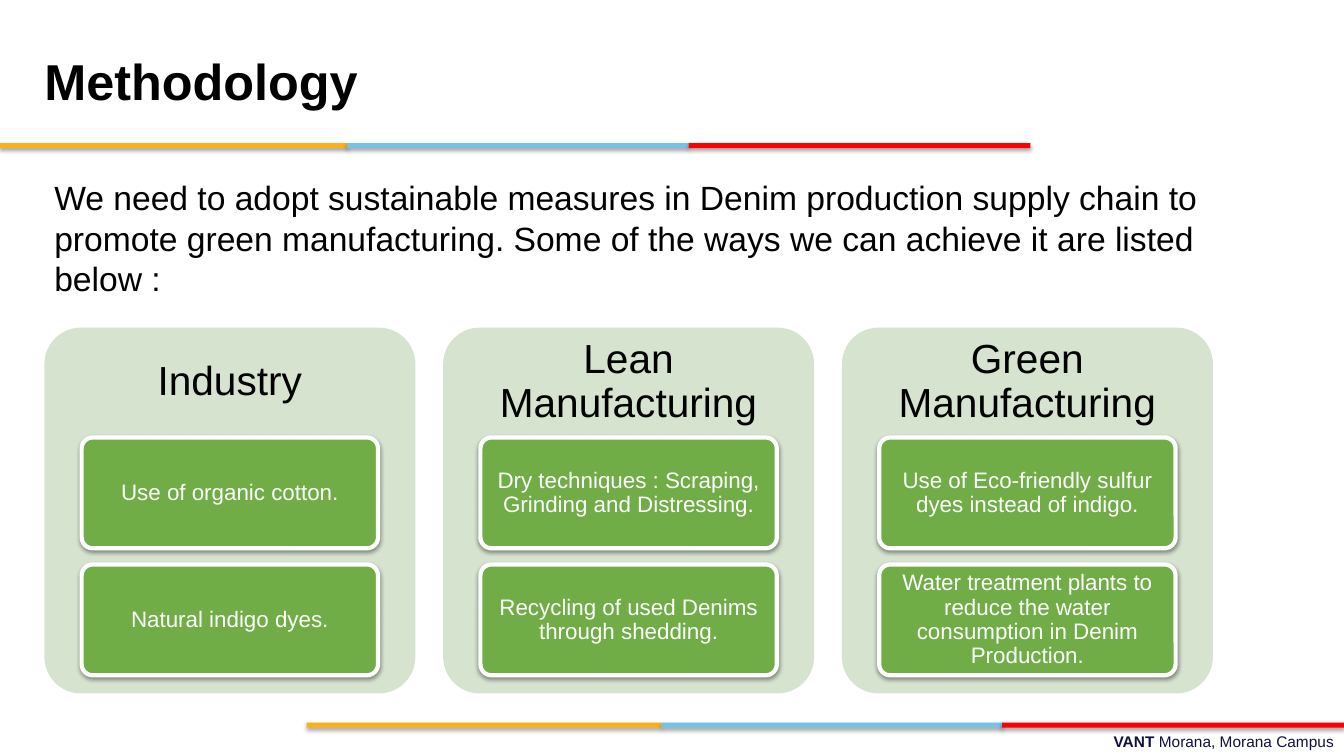
from lxml import etree
from pptx import Presentation
from pptx.dml.color import RGBColor
from pptx.enum import shapes, text
from pptx.oxml import ns
from pptx.util import Inches, Pt

FONT = "Arial"
BLACK, WHITE, NAVY = "000000", "FFFFFF", "101141"
PANEL_GREEN, CARD_GREEN = "D5E3CF", "70AD47"
STRIPE_COLORS = ("FCB017", "76C2E5", "FF0000")
TOP_EDGES = (0, 3.44, 6.83, 10.22)
BOTTOM_EDGES = (3.04, 6.56, 9.94, 13.33)
INTRO = ("We need to adopt sustainable measures in Denim production supply chain to "
         "promote green manufacturing. Some of the ways we can achieve it are listed below :")
APPROACHES = (
    ("Industry", ("Use of organic cotton.", "Natural indigo dyes.")),
    ("Lean Manufacturing", ("Dry techniques : Scraping, Grinding and Distressing.",
                            "Recycling of used Denims through shedding.")),
    ("Green Manufacturing", ("Use of Eco-friendly sulfur dyes instead of indigo.",
                             "Water treatment plants to reduce the water "
                             "consumption in Denim Production.")),
)
PANEL_LEFT, PANEL_TOP, PANEL_WIDTH, PANEL_HEIGHT = 0.44, 3.25, 3.68, 3.63
PANEL_PITCH = 3.955
HEADING_HEIGHT = 1.09
CARD_WIDTH, CARD_HEIGHT, CARD_PITCH = 2.94, 1.1, 1.26


def color(value):
    return RGBColor.from_string(value)


def write(frame, runs, size, ink, align=text.PP_ALIGN.LEFT, anchor=text.MSO_ANCHOR.TOP,
          inset=(0.1, 0.05), line_spacing=1.0):
    frame.word_wrap = True
    frame.vertical_anchor = anchor
    frame.margin_left = frame.margin_right = Inches(inset[0])
    frame.margin_top = frame.margin_bottom = Inches(inset[1])
    paragraph = frame.paragraphs[0]
    paragraph.alignment = align
    paragraph.line_spacing = line_spacing
    for words, bold in runs:
        run = paragraph.add_run()
        run.text = words
        run.font.name = FONT
        run.font.size = Pt(size)
        run.font.bold = bold
        run.font.color.rgb = color(ink)
    return paragraph


def add_label(slide, box, runs, size, ink, **layout):
    label = slide.shapes.add_textbox(*map(Inches, box))
    return write(label.text_frame, runs, size, ink, **layout)


def add_block(slide, kind, box, fill):
    block = slide.shapes.add_shape(kind, *map(Inches, box))
    block.fill.solid()
    block.fill.fore_color.rgb = color(fill)
    block.line.fill.background()
    block.shadow.inherit = False
    return block


def add_rounded(slide, box, fill):
    rounded = add_block(slide, shapes.MSO_SHAPE.ROUNDED_RECTANGLE, box, fill)
    rounded.adjustments[0] = 0.1
    return rounded


def cast_shadow(block, distance, opacity):
    effects = block.element.spPr.find(ns.qn("a:effectLst"))
    shadow = etree.SubElement(effects, ns.qn("a:outerShdw"), blurRad=str(Pt(3.1)),
                              dist=str(Pt(distance)), dir="5400000", rotWithShape="0")
    shade = etree.SubElement(shadow, ns.qn("a:srgbClr"), val=BLACK)
    etree.SubElement(shade, ns.qn("a:alpha"), val=str(opacity * 1000))


def add_stripe(slide, edges, top):
    for left, right, fill in zip(edges, edges[1:], STRIPE_COLORS):
        band = add_block(slide, shapes.MSO_SHAPE.RECTANGLE,
                         (left, top, right - left, 0.05), fill)
        cast_shadow(band, 1.8, 35)


def add_card(slide, left, top, measure):
    card = add_rounded(slide, (left, top, CARD_WIDTH, CARD_HEIGHT), CARD_GREEN)
    card.line.color.rgb = color(WHITE)
    card.line.width = Pt(3)
    cast_shadow(card, 1.6, 38)
    write(card.text_frame, [(measure, False)], 16, WHITE, align=text.PP_ALIGN.CENTER,
          anchor=text.MSO_ANCHOR.MIDDLE, inset=(0.04, 0.03), line_spacing=0.9)


def add_approach(slide, left, heading, measures):
    add_rounded(slide, (left, PANEL_TOP, PANEL_WIDTH, PANEL_HEIGHT), PANEL_GREEN)
    add_label(slide, (left, PANEL_TOP, PANEL_WIDTH, HEADING_HEIGHT), [(heading, False)],
              29, BLACK, align=text.PP_ALIGN.CENTER, anchor=text.MSO_ANCHOR.MIDDLE,
              inset=(0.12, 0.12), line_spacing=0.9)
    card_left = left + (PANEL_WIDTH - CARD_WIDTH) / 2
    for row, measure in enumerate(measures):
        add_card(slide, card_left, PANEL_TOP + HEADING_HEIGHT + row * CARD_PITCH, measure)


def main():
    deck = Presentation()
    deck.slide_width, deck.slide_height = Inches(13.33), Inches(7.5)
    slide = deck.slides.add_slide(deck.slide_layouts[6])

    add_label(slide, (4.78, 7.21, 8.55, 0.28),
              [("VANT ", True), ("Morana, Morana Campus", False)], 11, NAVY,
              align=text.PP_ALIGN.RIGHT)
    add_stripe(slide, BOTTOM_EDGES, 7.17)
    add_stripe(slide, TOP_EDGES, 1.42)
    add_label(slide, (0.44, 0.17, 9.22, 1.25), [("Methodology", True)], 36, BLACK,
              anchor=text.MSO_ANCHOR.MIDDLE, inset=(0, 0))
    intro = add_label(slide, (0.44, 1.71, 11.9, 1.4), [(INTRO, False)], 24, BLACK)
    intro.space_before = Pt(16)

    for column, (heading, measures) in enumerate(APPROACHES):
        add_approach(slide, PANEL_LEFT + column * PANEL_PITCH, heading, measures)

    deck.save("out.pptx")


main()
